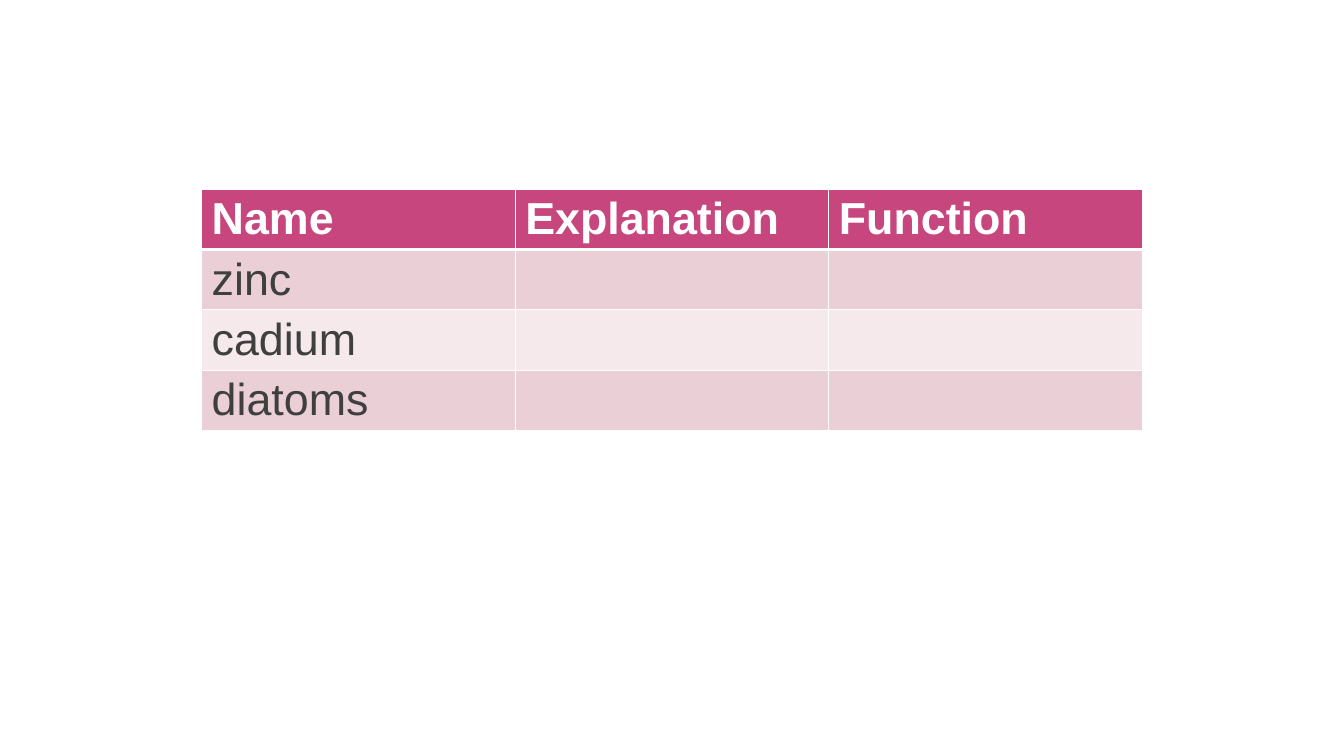
from dataclasses import dataclass

from lxml import etree
from pptx import Presentation
from pptx.dml.color import RGBColor
from pptx.oxml.ns import qn
from pptx.util import Pt

EMU_PER_PX = 9525  # 96 px to the inch
BLANK_LAYOUT = 6


@dataclass(frozen=True)
class Theme:
    font: str = "Arial"
    size: int = 32
    header_fill: str = "C6467D"
    band_fills: tuple = ("EACFD7", "F5E9EC")
    header_text: str = "FFFFFF"
    body_text: str = "3F3F3F"
    border: str = "FFFFFF"
    border_width: int = 1
    header_rule_width: int = 3


THEME = Theme()

ROWS = [
    ("Name", "Explanation", "Function"),
    ("zinc", "", ""),
    ("cadium", "", ""),
    ("diatoms", "", ""),
]


def px(n):
    return n * EMU_PER_PX


def set_border(cell, side, width):
    tc_pr = cell._tc.get_or_add_tcPr()
    ln = etree.SubElement(tc_pr, qn(f"a:ln{side}"), w=str(Pt(width)))
    fill = etree.SubElement(ln, qn("a:solidFill"))
    etree.SubElement(fill, qn("a:srgbClr"), val=THEME.border)


def add_text(cell, text, color, bold):
    p = cell.text_frame.paragraphs[0]
    r = p.add_run()
    r.text = text
    r.font.name = THEME.font
    r.font.size = Pt(THEME.size)
    r.font.bold = bold
    r.font.color.rgb = RGBColor.from_string(color)


def style_cell(cell, row, text):
    header = row == 0
    # Borders come before the fill in the cell properties
    widths = dict.fromkeys("LRTB", THEME.border_width)
    if header:
        widths["B"] = THEME.header_rule_width
    elif row == 1:
        widths["T"] = THEME.header_rule_width
    for side, width in widths.items():
        set_border(cell, side, width)

    fill = THEME.header_fill if header else THEME.band_fills[(row - 1) % 2]
    cell.fill.solid()
    cell.fill.fore_color.rgb = RGBColor.from_string(fill)
    if text:
        add_text(cell, text, THEME.header_text if header else THEME.body_text, header)


def add_grid(s, rows, left, top, width, row_height):
    frame = s.shapes.add_table(len(rows), len(rows[0]), px(left), px(top),
                               px(width), px(row_height * len(rows)))
    for i, texts in enumerate(rows):
        for j, text in enumerate(texts):
            style_cell(frame.table.cell(i, j), i, text)


def main():
    prs = Presentation()
    prs.slide_width, prs.slide_height = px(1280), px(720)
    s = prs.slides.add_slide(prs.slide_layouts[BLANK_LAYOUT])

    # Table of terms
    add_grid(s, ROWS, left=192, top=180, width=896, row_height=57)

    prs.save("out.pptx")


if __name__ == "__main__":
    main()
